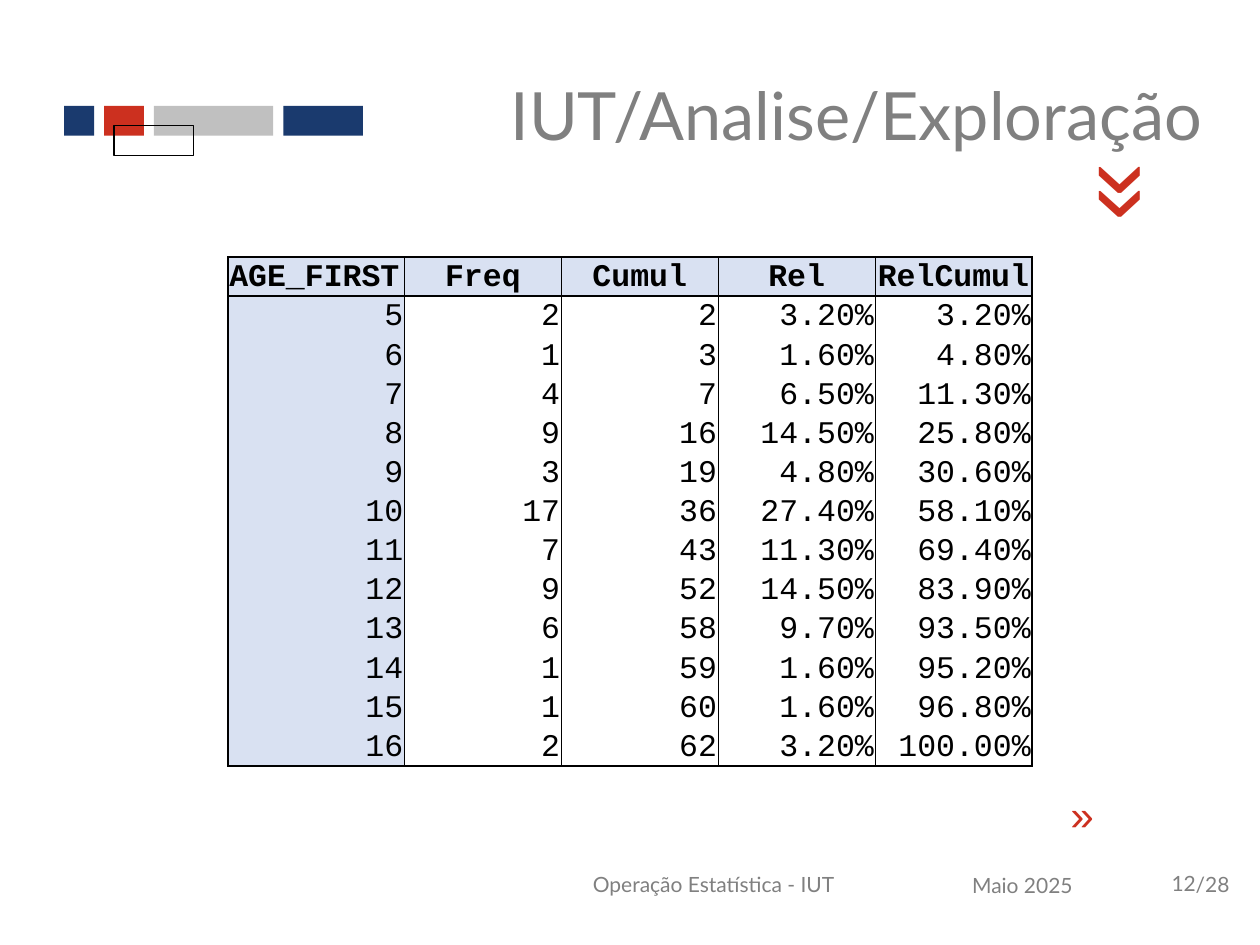
"""Build the slide with the frequency table of ages."""
from typing import NamedTuple, Optional

from lxml import etree
from pptx import Presentation
from pptx.dml.color import RGBColor
from pptx.enum.shapes import MSO_SHAPE
from pptx.enum.text import MSO_ANCHOR, PP_ALIGN
from pptx.oxml.ns import qn
from pptx.util import Inches, Pt

RECT = MSO_SHAPE.RECTANGLE
LEFT, MID, RIGHT = PP_ALIGN.LEFT, PP_ALIGN.CENTER, PP_ALIGN.RIGHT
TOP, CENTER, BASE = MSO_ANCHOR.TOP, MSO_ANCHOR.MIDDLE, MSO_ANCHOR.BOTTOM
NAVY = RGBColor(0x1A, 0x3A, 0x6E)
RED = RGBColor(0xCC, 0x30, 0x1F)
SILVER = RGBColor(0xC0, 0xC0, 0xC0)
GREY = RGBColor(0x80, 0x80, 0x80)
BLACK = RGBColor(0, 0, 0)
PALE = RGBColor(0xD9, 0xE1, 0xF2)
WIDTH, HEIGHT = Inches(10), Inches(7.5)
UNIT = 0.0079
BAR_X, BAR_Y = 0.051, 0.112
THICK, THIN = 1, 0.5


class Bar(NamedTuple):
    """A bar on the unit grid; no colour means an outline only."""
    col: int
    row: int
    span: int
    color: Optional[RGBColor]


class Label(NamedTuple):
    """A text box placed in shares of the slide."""
    text: str
    x: float
    y: float
    w: float
    h: float
    form: dict
    anchor: MSO_ANCHOR = CENTER
    turn: int = 0
    inset: float = 0.1


BARS = [Bar(0, 0, 3, NAVY), Bar(4, 0, 4, RED), Bar(9, 0, 12, SILVER),
        Bar(22, 0, 8, NAVY), Bar(5, 2, 8, None)]
SMALL = {"size": 12, "color": GREY}
MARK = {"font": "Arial", "color": RED}
LABELS = [
    Label("/28", 0.91, 0.899, 0.09, 0.073, SMALL, inset=0.39),
    Label("Operação Estatística - IUT", 0.413, 0.899, 0.307, 0.073, {**SMALL, "align": MID}),
    Label("Maio 2025", 0.72, 0.9, 0.183, 0.073, {**SMALL, "align": MID}),
    Label("«", 0.827, 0.84, 0.051, 0.067, {**MARK, "size": 24}, TOP, 180),
    Label("«", 0.85, 0.137, 0.055, 0.147, {**MARK, "size": 60}, TOP, 270),
    Label("12", 0.92, 0.915, 0.044, 0.04, SMALL, TOP),
    Label("IUT/Analise/Exploração", 0.303, 0.059, 0.661, 0.124,
          {"size": 38, "color": GREY, "align": RIGHT}),
]
HEADS = ["AGE_FIRST", "Freq", "Cumul", "Rel", "RelCumul"]
ROWS = [
    (5, 2, 2, "3.20%", "3.20%"),
    (6, 1, 3, "1.60%", "4.80%"),
    (7, 4, 7, "6.50%", "11.30%"),
    (8, 9, 16, "14.50%", "25.80%"),
    (9, 3, 19, "4.80%", "30.60%"),
    (10, 17, 36, "27.40%", "58.10%"),
    (11, 7, 43, "11.30%", "69.40%"),
    (12, 9, 52, "14.50%", "83.90%"),
    (13, 6, 58, "9.70%", "93.50%"),
    (14, 1, 59, "1.60%", "95.20%"),
    (15, 1, 60, "1.60%", "96.80%"),
    (16, 2, 62, "3.20%", "100.00%"),
]


def write(frame, text: str, *, size: float, color: RGBColor = BLACK,
          font: str = "Lato", bold: bool = False, align: PP_ALIGN = LEFT) -> None:
    """Put one formatted run into a text frame."""
    para = frame.paragraphs[0]
    para.alignment = align
    run = para.add_run()
    run.text = text
    run.font.size, run.font.name, run.font.bold = Pt(size), font, bold
    run.font.color.rgb = color


def place(x: float, y: float, w: float, h: float) -> tuple:
    """Turn shares of the slide into lengths."""
    return int(x * WIDTH), int(y * HEIGHT), int(w * WIDTH), int(h * HEIGHT)


def draw_bar(slide, bar: Bar) -> None:
    """Draw a bar three units high."""
    tall = UNIT * WIDTH / HEIGHT
    shape = slide.shapes.add_shape(RECT, *place(
        BAR_X + bar.col * UNIT, BAR_Y + bar.row * tall, bar.span * UNIT, 3 * tall))
    shape.shadow.inherit = False
    if bar.color is None:
        shape.fill.background()
        shape.line.color.rgb = BLACK
        shape.line.width = Pt(0.75)
    else:
        shape.fill.solid()
        shape.fill.fore_color.rgb = bar.color
        shape.line.fill.background()


def draw_label(slide, label: Label) -> None:
    """Draw a text box."""
    box = slide.shapes.add_textbox(*place(label.x, label.y, label.w, label.h))
    box.rotation = label.turn
    frame = box.text_frame
    frame.word_wrap = True
    frame.vertical_anchor = label.anchor
    frame.margin_left = Inches(label.inset)
    write(frame, label.text, **label.form)


def edge(cell, **sides: float) -> None:
    """Set the cell borders; a zero width hides one."""
    props = cell._tc.get_or_add_tcPr()
    for spot, side in enumerate("LRTB"):
        width = sides[side]
        line = etree.Element(qn(f"a:ln{side}"), w=str(Pt(width)))
        if width:
            fill = etree.SubElement(line, qn("a:solidFill"))
            etree.SubElement(fill, qn("a:srgbClr"), val=str(BLACK))
        else:
            etree.SubElement(line, qn("a:noFill"))
        props.insert(spot, line)


def draw_table(slide) -> None:
    """Draw the frequency table."""
    data = [HEADS, *ROWS]
    last, end = len(ROWS), len(HEADS) - 1
    table = slide.shapes.add_table(
        len(data), len(HEADS), *place(0.181, 0.272, 0.638, 0.539)).table
    table.first_row = table.horz_banding = False
    for c, col in enumerate(table.columns):
        col.width = int(WIDTH * (0.1245 if c else 0.14))
    for r, row in enumerate(data):
        for c, value in enumerate(row):
            cell = table.cell(r, c)
            cell.margin_left = cell.margin_right = cell.margin_top = Inches(0.01)
            cell.margin_bottom = 0
            cell.vertical_anchor = BASE
            if r and c:
                cell.fill.background()
            else:
                cell.fill.solid()
                cell.fill.fore_color.rgb = PALE
            edge(cell, L=THICK if c < 2 else THIN, R=THICK if c in (0, end) else THIN,
                 T=THICK if r < 2 else 0, B=THICK if r in (0, last) else 0)
            align = RIGHT if r else MID if c else LEFT
            write(cell.text_frame, str(value), size=18, font="Courier New",
                  bold=r == 0, align=align)


def main() -> None:
    """Build and save the slide."""
    deck = Presentation()
    deck.slide_width, deck.slide_height = WIDTH, HEIGHT
    slide = deck.slides.add_slide(deck.slide_layouts[6])
    for bar in BARS:
        draw_bar(slide, bar)
    for label in LABELS:
        draw_label(slide, label)
    draw_table(slide)
    deck.save("out.pptx")


if __name__ == "__main__":
    main()
